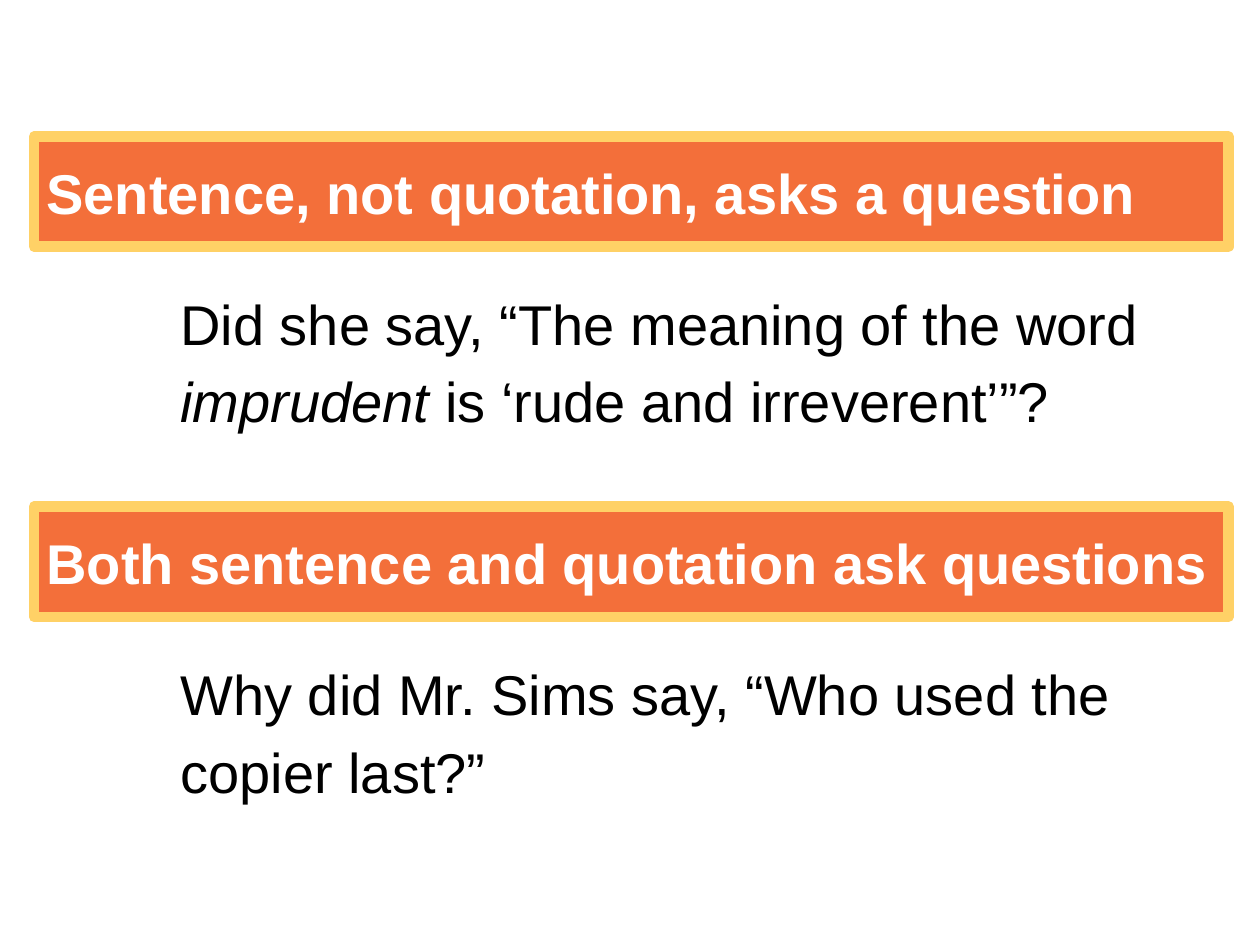
import pptx
import pptx.util
import pptx.dml.color
import pptx.enum.shapes
import pptx.enum.text

Pt = pptx.util.Pt


def color(value):
    return pptx.dml.color.RGBColor.from_string(value)


def style_paragraph(paragraph, text_color, bold=False):
    paragraph.alignment = pptx.enum.text.PP_ALIGN.LEFT
    paragraph.font.name = "Arial"
    paragraph.font.size = Pt(32)
    paragraph.font.bold = bold
    paragraph.font.color.rgb = color(text_color)


presentation = pptx.Presentation()
presentation.slide_width = Pt(720)
presentation.slide_height = Pt(540)
slide = presentation.slides.add_slide(presentation.slide_layouts[6])

# Each rule: heading, then its example as (text, italic) pieces
rules = [
    ("Sentence, not quotation, asks a question",
     [("Did she say, “The meaning of the word ", False),
      ("imprudent ", True),
      ("is ‘rude and irreverent’”?", False)]),
    ("Both sentence and quotation ask questions",
     [("Why did Mr. Sims say, “Who used the copier last?”", False)]),
]
first_top = 78
rule_pitch = 211.5
example_offset = 78.25

for index, (heading, pieces) in enumerate(rules):
    top = first_top + index * rule_pitch

    # Example sentence
    example = slide.shapes.add_textbox(
        Pt(96), Pt(top + example_offset), Pt(588), Pt(94.5))
    example.text_frame.word_wrap = True
    paragraph = example.text_frame.paragraphs[0]
    style_paragraph(paragraph, "000000")
    paragraph.line_spacing = 1.15
    paragraph.space_before = Pt(6.4)
    for text, italic in pieces:
        run = paragraph.add_run()
        run.text = text
        run.font.italic = italic

    # Heading banner
    banner = slide.shapes.add_shape(
        pptx.enum.shapes.MSO_SHAPE.RECTANGLE,
        Pt(19.5), Pt(top), Pt(682.5), Pt(63))
    banner.shadow.inherit = False
    banner.fill.solid()
    banner.fill.fore_color.rgb = color("F36F3A")
    banner.line.color.rgb = color("FFD166")
    banner.line.width = Pt(6)
    banner.text_frame.word_wrap = True
    banner.text_frame.vertical_anchor = pptx.enum.text.MSO_ANCHOR.MIDDLE
    banner.text_frame.text = heading
    style_paragraph(banner.text_frame.paragraphs[0], "FFFFFF", bold=True)

presentation.save("out.pptx")
